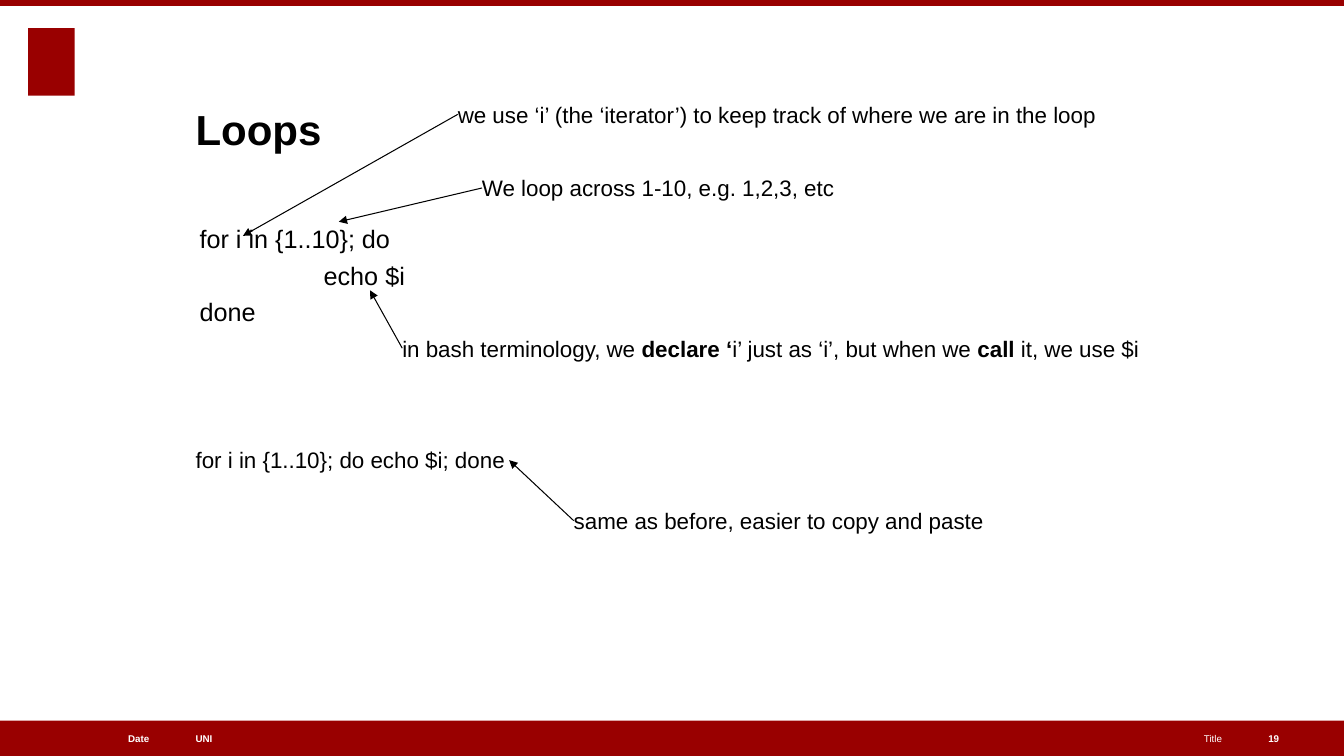
from lxml import etree
from pptx import Presentation
from pptx.dml.color import RGBColor
from pptx.enum.shapes import MSO_CONNECTOR, MSO_SHAPE
from pptx.enum.text import MSO_ANCHOR, PP_ALIGN
from pptx.oxml.ns import qn
from pptx.util import Inches, Pt

STRAIGHT = MSO_CONNECTOR.STRAIGHT
RECT = MSO_SHAPE.RECTANGLE
TOP, MIDDLE, BOTTOM = MSO_ANCHOR.TOP, MSO_ANCHOR.MIDDLE, MSO_ANCHOR.BOTTOM
LEFT, RIGHT = PP_ALIGN.LEFT, PP_ALIGN.RIGHT
COLORS = {"red": "990000", "black": "000000", "white": "FFFFFF"}
FONT = "Arial"
WIDE, HIGH = 13.33, 7.5
BAR = 0.35
LEFT_SIDE, RIGHT_SIDE = 1, 3


def color(name):
    return RGBColor.from_string(COLORS[name])


def add_rect(slide, x, y, w, h):
    rect = slide.shapes.add_shape(RECT, Inches(x), Inches(y), Inches(w), Inches(h))
    rect.shadow.inherit = False
    rect.fill.solid()
    rect.fill.fore_color.rgb = color("red")
    rect.line.fill.background()


def style(run, size, bold, ink):
    run.font.name = FONT
    run.font.size = Pt(size)
    run.font.bold = bold
    run.font.color.rgb = color(ink)


def add_text(slide, text, x, y, w, h, size, bold=False, ink="black",
             anchor=TOP, align=LEFT, wrap=True):
    box = slide.shapes.add_textbox(Inches(x), Inches(y), Inches(w), Inches(h))
    frame = box.text_frame
    frame.margin_left = frame.margin_right = 0
    frame.margin_top = frame.margin_bottom = 0
    frame.word_wrap = wrap
    frame.vertical_anchor = anchor
    frame.text = text
    for para in frame.paragraphs:
        para.alignment = align
        for run in para.runs:
            style(run, size, bold, ink)
    return box


def add_note(slide, parts, x, y, w):
    """Add a one-line note; every second part is bold."""
    box = add_text(slide, parts[0], x, y, w, 0.27, 16, wrap=False)
    para = box.text_frame.paragraphs[0]
    for i, part in enumerate(parts[1:], 1):
        run = para.add_run()
        run.text = part
        style(run, 16, i % 2 == 1, "black")
    return box


def add_code(slide):
    code = add_text(slide, "for i in {1..10}; do\necho $i\ndone",
                    1.98, 2.22, 10.18, 1.23, 18)
    lines = code.text_frame.paragraphs
    for line in lines[1:]:
        line.space_before = Pt(4.3)
    lines[1].runs[0].font.size = Pt(18)
    props = lines[1]._p.get_or_add_pPr()
    props.set("marL", str(Inches(1.23)))
    props.set("indent", "0")


def add_arrow(slide, note, x, y):
    """Point from the left side of a note to a spot."""
    arrow = slide.shapes.add_connector(
        STRAIGHT, note.left, note.top, Inches(x), Inches(y))
    arrow.begin_connect(note, LEFT_SIDE)
    arrow.line.color.rgb = color("black")
    arrow.line.width = Pt(0.75)
    etree.SubElement(arrow.line._get_or_add_ln(), qn("a:tailEnd"), type="triangle")
    etree.SubElement(arrow._element.spPr, qn("a:effectLst"))
    return arrow


def add_footer(slide):
    top = HIGH - BAR
    add_rect(slide, 0, top, WIDE, BAR)
    for text, x, w, bold, align in (
        ("UNI", 1.94, 3.72, True, LEFT),
        ("Date", 0.27, 1.21, True, RIGHT),
        ("Title", 6.11, 6.01, False, RIGHT),
        ("19", 12.58, 0.47, True, LEFT),
    ):
        add_text(slide, text, x, top, w, BAR, 7, bold, "white", MIDDLE, align)


def main():
    deck = Presentation()
    deck.slide_width, deck.slide_height = Inches(WIDE), Inches(HIGH)
    slide = deck.slides.add_slide(deck.slide_layouts[6])

    add_rect(slide, 0.28, 0.28, 0.46, 0.67)
    add_rect(slide, 0, 0, WIDE, 0.06)
    add_footer(slide)
    add_text(slide, "Loops", 1.94, 0.47, 10.18, 1.06, 30, True, anchor=BOTTOM)
    add_code(slide)

    for parts, x, y, w, tip in (
        (["We loop across 1-10, e.g. 1,2,3, etc"], 4.78, 1.73, 3.54, (3.36, 2.2)),
        (["we use ‘i’ (the ‘iterator’) to keep track of where we are in the loop"],
         4.54, 1, 6.41, (2.41, 2.34)),
        (["in bash terminology, we ", "declare ‘", "i’ just as ‘i’, but when we ",
          "call ", "it, we use $i"], 3.99, 3.32, 7.4, (3.67, 2.88)),
    ):
        add_arrow(slide, add_note(slide, parts, x, y, w), *tip)

    short = add_note(slide, ["for i in {1..10}; do echo $i; done"], 1.94, 4.43, 3.11)
    same = add_note(slide, ["same as before, easier to copy and paste"],
                    5.69, 5.03, 4.12)
    add_arrow(slide, same, 5.05, 4.56).end_connect(short, RIGHT_SIDE)
    deck.save("out.pptx")


if __name__ == "__main__":
    main()
